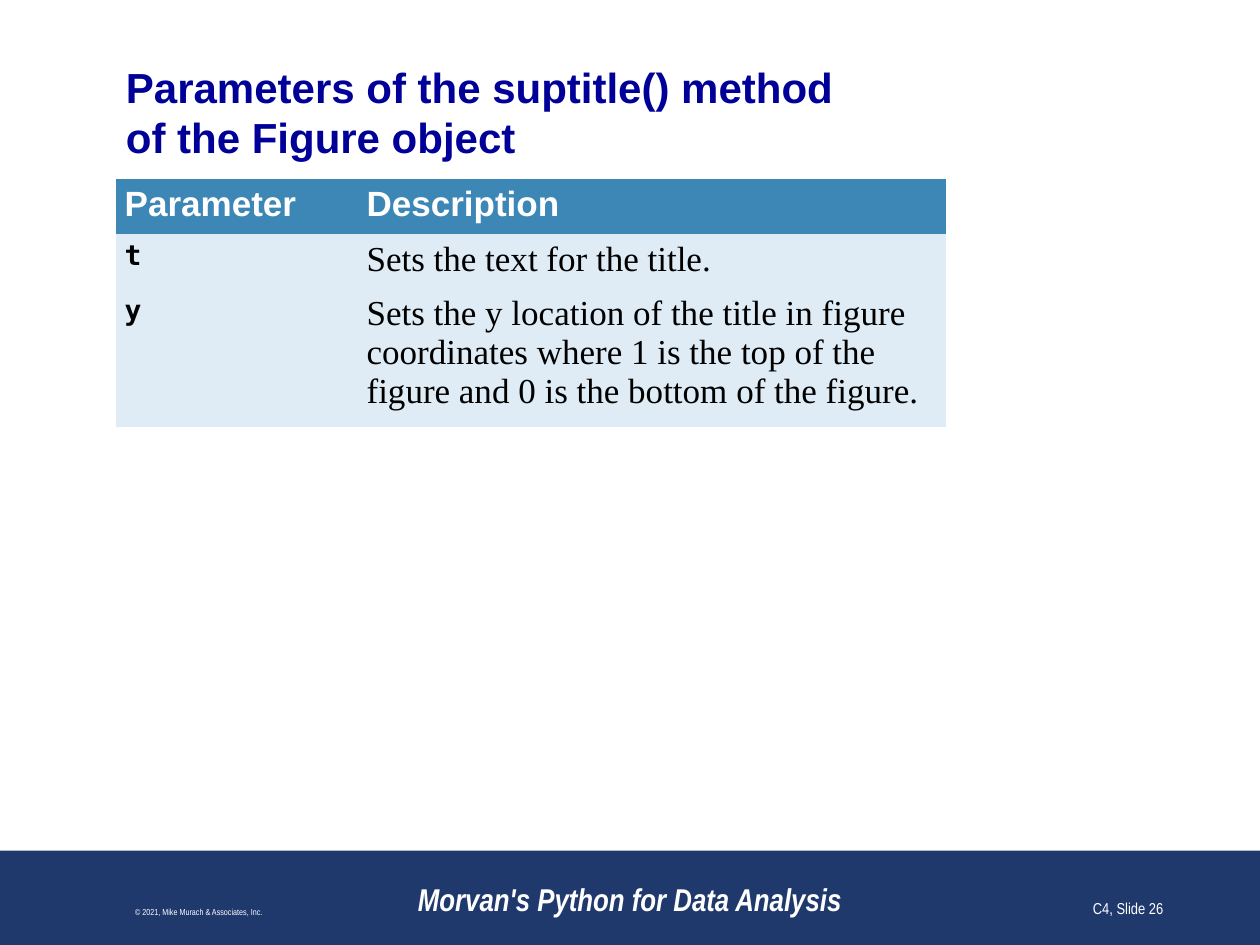
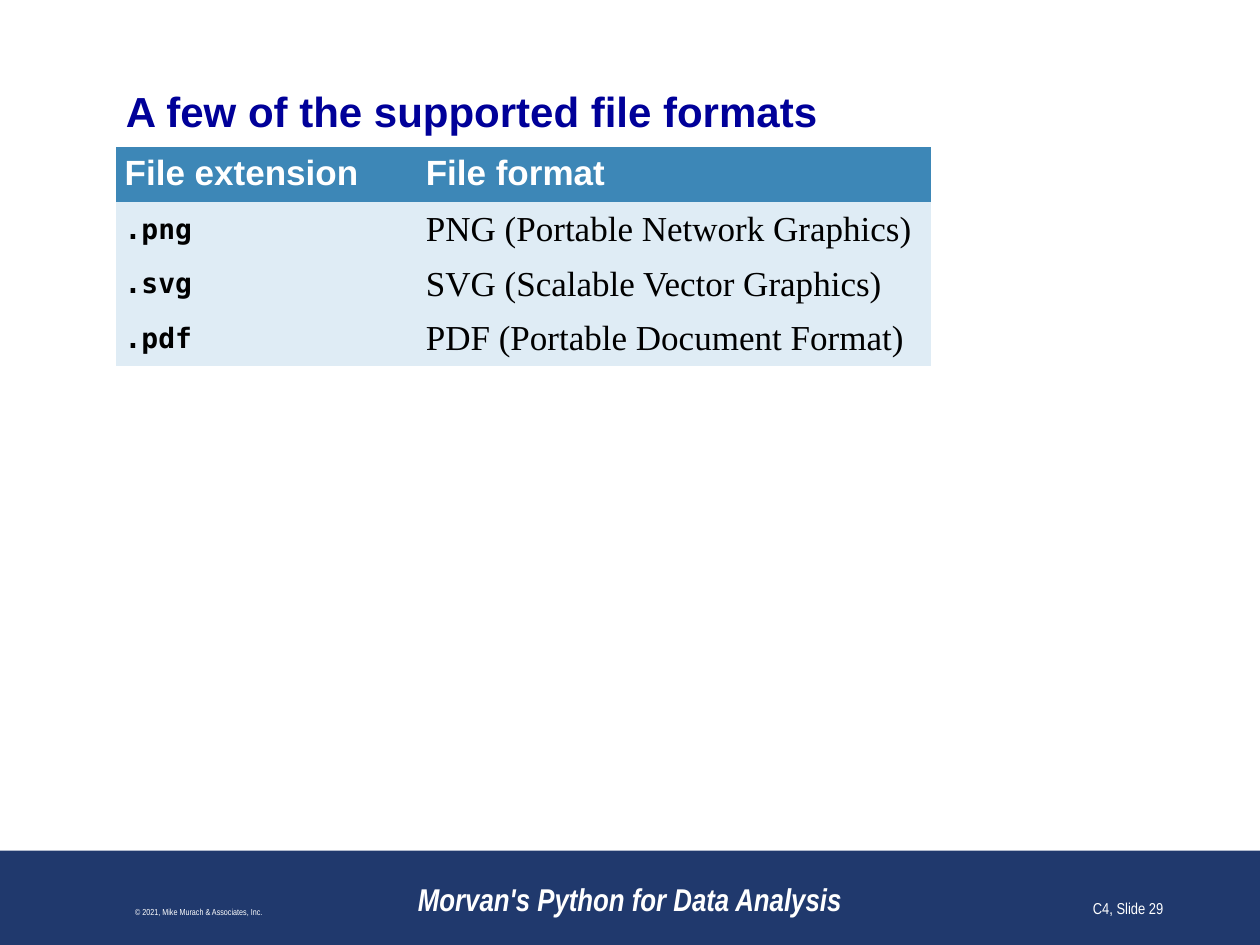
"""Builds two reference-table slides of a Python data analysis course."""
from pptx import Presentation, util as u
from pptx.dml.color import RGBColor
from pptx.enum import shapes, text
from pptx.oxml.ns import qn

WHITE = RGBColor(0xFF, 0xFF, 0xFF)
BLACK = RGBColor(0, 0, 0)
TITLE_BLUE = RGBColor(0, 0, 0x99)
BAND_BLUE = RGBColor(0x20, 0x39, 0x6D)
HEADER_BLUE = RGBColor(0x3D, 0x87, 0xB7)
ROW_BLUE = RGBColor(0xDF, 0xEC, 0xF5)

WIDTH, HEIGHT = u.Inches(10), u.Inches(7.5)
BAND_SHARE = 0.1
FOOTER_TOP, FOOTER_HEIGHT = u.Inches(6.83), u.Inches(0.5)
TABLE_LEFT = u.Inches(0.92)
LINE_HEIGHT, CELL_PAD = 0.31, 0.05
PLAIN_TABLE = "{2D5ABB26-0587-4C30-8999-92F81FD0307C}"

HEADER_FONT = ("Arial", 20, WHITE, True)
CODE_FONT = ("DejaVu Sans Mono", 16, BLACK, True)
BODY_FONT = ("Times New Roman", 20, BLACK, False)

TOP, MIDDLE, BOTTOM = (text.MSO_ANCHOR.TOP, text.MSO_ANCHOR.MIDDLE,
                       text.MSO_ANCHOR.BOTTOM)
LEFT, CENTER, RIGHT = text.PP_ALIGN.LEFT, text.PP_ALIGN.CENTER, text.PP_ALIGN.RIGHT


def write(tf, words, face, align=LEFT):
    """Fill the first paragraph of a frame with one style of text."""
    p = tf.paragraphs[0]
    p.text = words
    p.alignment = align
    p.font.name, p.font.size = face[0], u.Pt(face[1])
    p.font.color.rgb, p.font.bold = face[2], face[3]
    return p


def add_text(slide, box, words, face, align, anchor):
    """Add a wrapping text box and return its frame and paragraph."""
    tf = slide.shapes.add_textbox(*box).text_frame
    tf.word_wrap = True
    tf.vertical_anchor = anchor
    return tf, write(tf, words, face, align)


def add_title(slide, words, top, height):
    """Add the slide title without insets."""
    box = (u.Inches(1), u.Inches(top), u.Inches(8), u.Inches(height))
    tf, p = add_text(slide, box, words, ("Arial", 24, TITLE_BLUE, True), LEFT, MIDDLE)
    tf.margin_left = tf.margin_right = tf.margin_top = tf.margin_bottom = 0
    p.space_after = u.Pt(6)


def add_band(slide):
    """Add the coloured band along the bottom edge."""
    height = int(HEIGHT * BAND_SHARE)
    sp = slide.shapes.add_shape(shapes.MSO_SHAPE.RECTANGLE,
                                0, HEIGHT - height, WIDTH, height)
    sp.shadow.inherit = False
    sp.fill.solid()
    sp.fill.fore_color.rgb = BAND_BLUE
    sp.line.fill.background()


def add_footer(slide, number):
    """Add the course name, copyright line and slide number."""
    footers = [
        (3, 4, "Morvan's Python for Data Analysis", 18, True, CENTER),
        (0.08, 3, "© 2021, Mike Murach & Associates, Inc.", 5, False, CENTER),
        (7.25, 2.08, f"C4, Slide {number}", 9, False, RIGHT),
    ]
    for left, width, words, size, strong, align in footers:
        box = (u.Inches(left), FOOTER_TOP, u.Inches(width), FOOTER_HEIGHT)
        _, p = add_text(slide, box, words, ("Arial Narrow", size, WHITE, strong),
                        align, BOTTOM)
        p.font.italic = strong


def fill_cell(cell, words, face, fill, anchor):
    """Give a table cell its text, fill and margins."""
    cell.fill.solid()
    cell.fill.fore_color.rgb = fill
    cell.margin_left = cell.margin_right = u.Inches(0.07)
    cell.margin_top = cell.margin_bottom = u.Inches(CELL_PAD)
    cell.vertical_anchor = anchor
    write(cell.text_frame, words, face)


def add_reference_table(slide, top, widths, rows, lines, anchor):
    """Add a table with a header row and code names in its first column."""
    heights = [u.Inches(n * LINE_HEIGHT + 2 * CELL_PAD) for n in lines]
    table = slide.shapes.add_table(
        len(rows), len(widths), TABLE_LEFT, u.Inches(top),
        u.Inches(sum(widths)), sum(heights)).table
    table.horz_banding = False
    table._tbl.tblPr.find(qn("a:tableStyleId")).text = PLAIN_TABLE
    for column, width in zip(table.columns, widths):
        column.width = u.Inches(width)
    for i, (row, height) in enumerate(zip(rows, heights)):
        table.rows[i].height = height
        for j, words in enumerate(row):
            if i == 0:
                fill_cell(table.cell(i, j), words, HEADER_FONT, HEADER_BLUE, TOP)
            else:
                face = BODY_FONT if j else CODE_FONT
                fill_cell(table.cell(i, j), words, face, ROW_BLUE, anchor)


def add_slide(prs, number, title, title_top, title_height):
    """Add a blank slide with band, title and footer."""
    slide = prs.slides.add_slide(prs.slide_layouts[6])
    add_band(slide)
    add_title(slide, title, title_top, title_height)
    add_footer(slide, number)
    return slide


def main():
    """Build and save both slides."""
    prs = Presentation()
    prs.slide_width, prs.slide_height = WIDTH, HEIGHT

    slide = add_slide(prs, 26, "Parameters of the suptitle() method\n"
                      "of the Figure object", 0.48, 0.81)
    add_reference_table(slide, 1.42, (1.92, 4.67), [
        ("Parameter", "Description"),
        ("t", "Sets the text for the title."),
        ("y", "Sets the y location of the title in figure coordinates where 1 "
              "is the top of the figure and 0 is the bottom of the figure."),
    ], (1, 1, 3), TOP)

    slide = add_slide(prs, 29, "A few of the supported file formats", 0.68, 0.4)
    add_reference_table(slide, 1.17, (2.39, 4.08), [
        ("File extension", "File format"),
        (".png", "PNG (Portable Network Graphics)"),
        (".svg", "SVG (Scalable Vector Graphics)"),
        (".pdf", "PDF (Portable Document Format)"),
    ], (1, 1, 1, 1), MIDDLE)

    prs.save("out.pptx")


if __name__ == "__main__":
    main()
